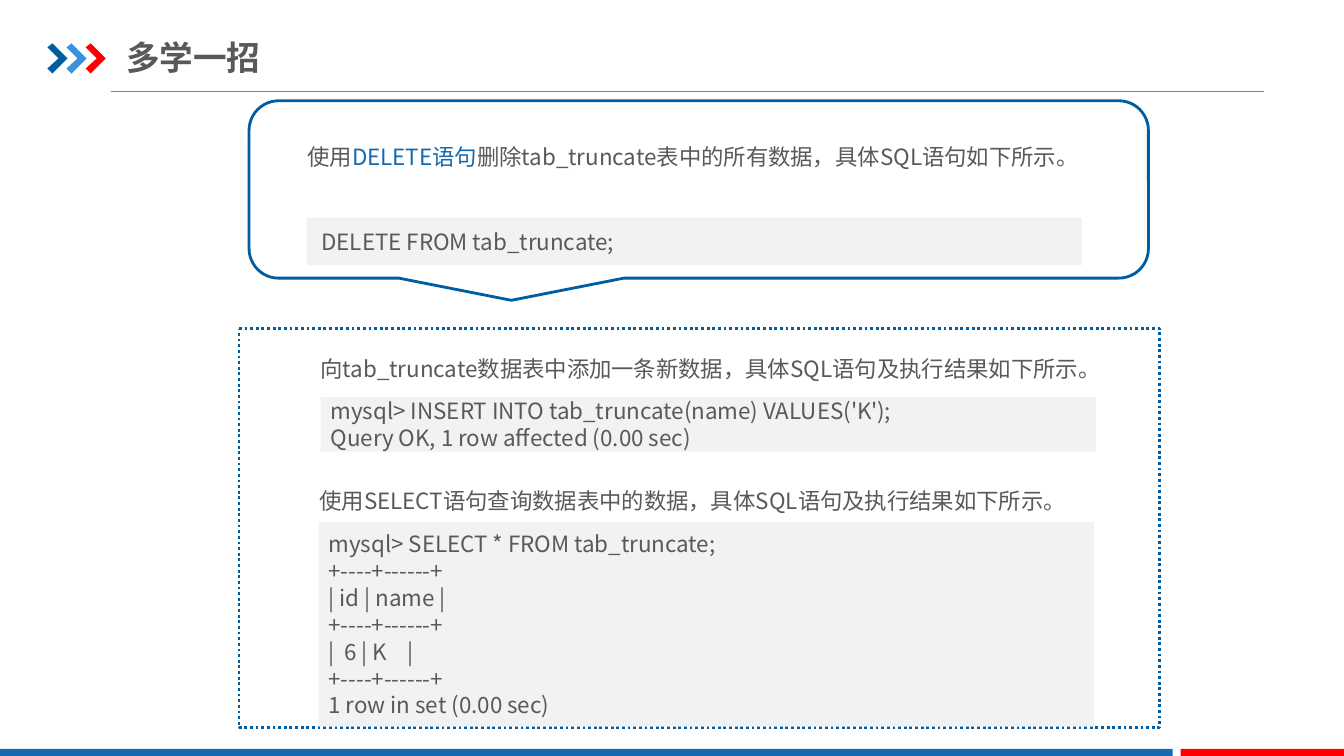
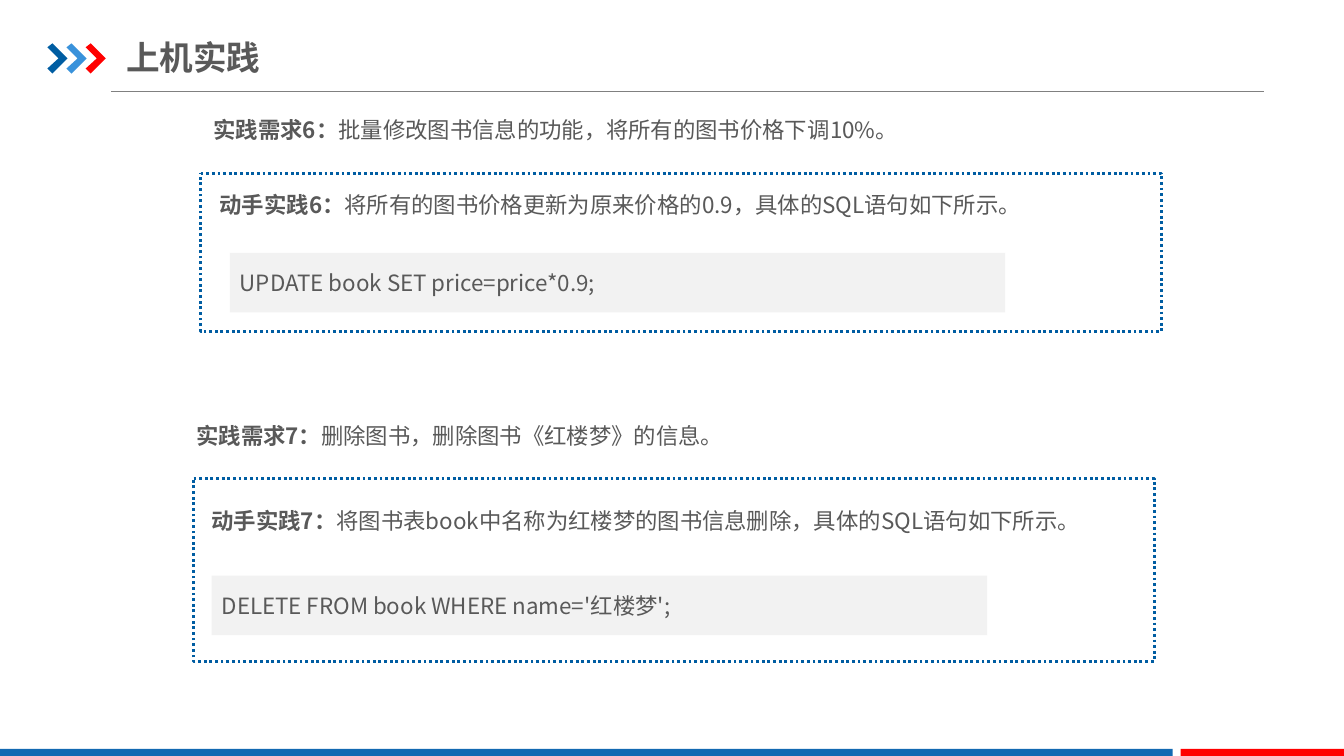
from lxml import etree
from pptx import Presentation
from pptx.dml.color import RGBColor
from pptx.enum.dml import MSO_LINE
from pptx.enum.shapes import MSO_CONNECTOR, MSO_SHAPE
from pptx.enum.text import MSO_ANCHOR, MSO_AUTO_SIZE, PP_ALIGN
from pptx.oxml.ns import qn
from pptx.util import Inches, Pt

RECTANGLE, PROCESS = MSO_SHAPE.RECTANGLE, MSO_SHAPE.FLOWCHART_PROCESS
CALLOUT = MSO_SHAPE.ROUNDED_RECTANGULAR_CALLOUT
STRAIGHT = MSO_CONNECTOR.STRAIGHT
DOTTED = MSO_LINE.ROUND_DOT
MIDDLE, LEFT = MSO_ANCHOR.MIDDLE, PP_ALIGN.LEFT
NO_FIT, GROW = MSO_AUTO_SIZE.NONE, MSO_AUTO_SIZE.SHAPE_TO_FIT_TEXT

NAVY = RGBColor(0x00, 0x5D, 0xA2)
SKY = RGBColor(0x39, 0x92, 0xDB)
BLUE = RGBColor(0x13, 0x69, 0xB2)
RED = RGBColor(0xFF, 0x00, 0x00)
TEXT = RGBColor(0x59, 0x59, 0x59)
RULE = RGBColor(0x80, 0x80, 0x80)
PALE = RGBColor(0xF2, 0xF2, 0xF2)
WHITE = RGBColor(0xFF, 0xFF, 0xFF)

FONT = "Noto Sans CJK SC"
SLIDE_W, SLIDE_H = 13.33, 7.5
CODE_W = 7.69
BAND_TOP, BAND_H, BAND_SPLIT, BAND_GAP = 7.43, 0.09, 11.63, 0.08
CHEVRON_LEFT, CHEVRON_TOP, CHEVRON_STEP = 0.47, 0.43, 0.19
CHEVRON = [(0, 0.04), (0.05, 0), (0.2, 0.15), (0.05, 0.3), (0, 0.25), (0.11, 0.15)]


def box(*lengths):
    return [Inches(length) for length in lengths]


def write_text(frame, paragraphs, size=16, color=TEXT, bold=False, spacing=None):
    """Fill a frame; a paragraph is a string or a list of (text, format) runs."""
    frame.word_wrap = True
    for index, content in enumerate(paragraphs):
        paragraph = frame.add_paragraph() if index else frame.paragraphs[0]
        paragraph.alignment = LEFT
        if spacing:
            paragraph.line_spacing = spacing
        runs = [(content, {})] if isinstance(content, str) else content
        for text, changes in runs:
            run = paragraph.add_run()
            run.text = text
            font = run.font
            font.size = Pt(size)
            font.bold = changes.get("bold", bold)
            font.color.rgb = changes.get("color", color)
            font.name = FONT
            east_asian = etree.SubElement(run._r.get_or_add_rPr(), qn("a:ea"))
            east_asian.set("typeface", FONT)


def paint(shape, fill, line=None, dash=None):
    shape.shadow.inherit = False
    shape.fill.solid()
    shape.fill.fore_color.rgb = fill
    if line is None:
        shape.line.fill.background()
        return
    shape.line.color.rgb = line
    shape.line.width = Pt(2)
    if dash is not None:
        shape.line.dash_style = dash


def add_block(slide, kind, place, fill, **outline):
    shape = slide.shapes.add_shape(kind, *box(*place))
    paint(shape, fill, **outline)
    return shape


def add_panel(slide, *place):
    add_block(slide, PROCESS, place, WHITE, line=NAVY, dash=DOTTED)


def add_code(slide, left, top, height, *lines):
    code = add_block(slide, RECTANGLE, (left, top, CODE_W, height), PALE)
    code.text_frame.vertical_anchor = MIDDLE
    write_text(code.text_frame, lines)


def add_sentence(slide, left, top, width, content):
    frame = slide.shapes.add_textbox(*box(left, top, width, 0.5)).text_frame
    write_text(frame, [content], spacing=1.5)
    frame.auto_size = GROW


def labelled(label, sentence):
    return [(label, {"bold": True}), (sentence, {})]


def add_chevron(slide, left, color):
    points = [box(left + x, CHEVRON_TOP + y) for x, y in CHEVRON]
    outline = slide.shapes.build_freeform(*points[0])
    outline.add_line_segments(points[1:], close=True)
    paint(outline.convert_to_shape(), color)


def add_slide(deck, heading):
    """Start a slide with the shared title, chevrons, rule and bottom bands."""
    slide = deck.slides.add_slide(deck.slide_layouts[5])
    title = slide.shapes.title
    title.left, title.top, title.width, title.height = box(1.25, 0.29, 4.26, 0.55)
    frame = title.text_frame
    frame.margin_left = frame.margin_right = 0
    frame.margin_top = frame.margin_bottom = Inches(0.07)
    frame.vertical_anchor = MIDDLE
    frame.auto_size = NO_FIT
    write_text(frame, [heading], size=24, bold=True)

    rule = slide.shapes.add_connector(STRAIGHT, *box(1.1, 0.91, 12.54, 0.91))
    rule.line.color.rgb = RULE
    rule.line.width = Pt(0.75)
    etree.SubElement(rule._element.spPr, qn("a:effectLst"))
    for index, color in enumerate((NAVY, SKY, RED)):
        add_chevron(slide, CHEVRON_LEFT + index * CHEVRON_STEP, color)
    red_left = BAND_SPLIT + BAND_GAP
    for left, right, color in ((0, BAND_SPLIT, BLUE), (red_left, SLIDE_W, RED)):
        add_block(slide, RECTANGLE, (left, BAND_TOP, right - left, BAND_H), color)
    return slide


def add_tip_slide(deck):
    slide = add_slide(deck, "多学一招")
    add_block(slide, CALLOUT, (2.47, 1, 8.92, 1.76), WHITE, line=NAVY)
    add_sentence(slide, 2.95, 1.24, 8.06, [
        ("使用", {}),
        ("DELETE语句", {"color": BLUE}),
        ("删除tab_truncate表中的所有数据，具体SQL语句如下所示。", {}),
    ])
    add_code(slide, 3.04, 2.16, 0.47, " DELETE FROM tab_truncate;")

    add_panel(slide, 2.37, 3.26, 9.13, 3.96)
    add_sentence(slide, 3.08, 3.34, 8.06,
                 "向tab_truncate数据表中添加一条新数据，具体SQL语句及执行结果如下所示。")
    add_code(slide, 3.18, 3.94, 0.54,
             "mysql> INSERT INTO tab_truncate(name) VALUES('K');",
             "Query OK, 1 row affected (0.00 sec)")
    add_sentence(slide, 3.07, 4.65, 8.06,
                 "使用SELECT语句查询数据表中的数据，具体SQL语句及执行结果如下所示。")
    border = "+----+------+"
    add_code(slide, 3.16, 5.18, 2.03,
             "mysql> SELECT * FROM tab_truncate;",
             border, "| id | name |", border, "|  6 | K    |", border,
             "1 row in set (0.00 sec)")


def add_practice_slide(deck):
    slide = add_slide(deck, "上机实践")
    add_sentence(slide, 2.02, 0.97, 10.23, labelled(
        "实践需求6：", "批量修改图书信息的功能，将所有的图书价格下调10%。"))
    add_panel(slide, 1.99, 1.72, 9.53, 1.57)
    add_sentence(slide, 2.08, 1.71, 8.51, labelled(
        "动手实践6：", "将所有的图书价格更新为原来价格的0.9，具体的SQL语句如下所示。"))
    add_code(slide, 2.28, 2.51, 0.59, "UPDATE book SET price=price*0.9;")

    add_sentence(slide, 1.85, 4.01, 10.23, labelled(
        "实践需求7：", "删除图书，删除图书《红楼梦》的信息。"))
    add_panel(slide, 1.92, 4.75, 9.53, 1.81)
    add_sentence(slide, 2, 4.85, 8.92, labelled(
        "动手实践7：", "将图书表book中名称为红楼梦的图书信息删除，具体的SQL语句如下所示。"))
    add_code(slide, 2.1, 5.71, 0.59, "DELETE FROM book WHERE name='红楼梦';")


def main():
    deck = Presentation()
    deck.slide_width, deck.slide_height = box(SLIDE_W, SLIDE_H)
    add_tip_slide(deck)
    add_practice_slide(deck)
    deck.save("out.pptx")


if __name__ == "__main__":
    main()
